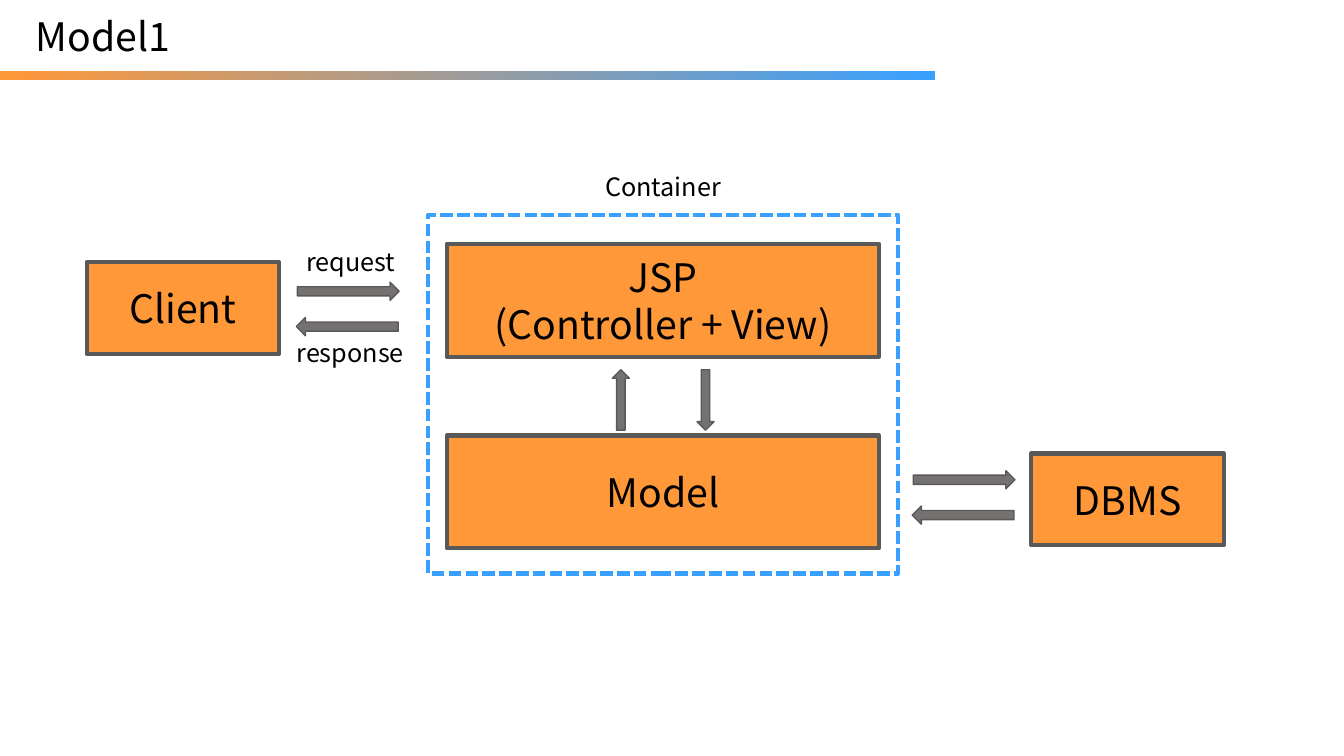
from pptx import Presentation
from pptx.dml.color import RGBColor
from pptx.enum.dml import MSO_LINE
from pptx.enum.shapes import MSO_SHAPE
from pptx.enum.text import MSO_ANCHOR, PP_ALIGN
from pptx.util import Pt

FONT = "Noto Sans CJK KR"
BLACK, ORANGE, BLUE = "000000", "FF9839", "39A0FF"
GRAY, DARK_GRAY = "767171", "595959"
ARROW_LENGTH, ARROW_WIDTH = 72.7, 13


def color(hex_value):
    return RGBColor.from_string(hex_value)


def write(frame, text, size, align=PP_ALIGN.CENTER, anchor=MSO_ANCHOR.MIDDLE):
    frame.text = text
    frame.word_wrap = True
    frame.vertical_anchor = anchor
    for paragraph in frame.paragraphs:
        paragraph.alignment = align
        paragraph.line_spacing = 1.0
        for run in paragraph.runs:
            run.font.name = FONT
            run.font.size = Pt(size)
            run.font.color.rgb = color(BLACK)


def add_block(slide, preset, box, fill=None, line=None, weight=3):
    block = slide.shapes.add_shape(preset, *map(Pt, box))
    block.shadow.inherit = False
    if fill:
        block.fill.solid()
        block.fill.fore_color.rgb = color(fill)
    else:
        block.fill.background()
    if line:
        block.line.color.rgb = color(line)
        block.line.width = Pt(weight)
    else:
        block.line.fill.background()
    return block


def add_node(slide, text, box):
    node = add_block(slide, MSO_SHAPE.RECTANGLE, box, ORANGE, DARK_GRAY)
    write(node.text_frame, text, 28)


def add_label(slide, text, box):
    label = slide.shapes.add_textbox(*map(Pt, box))
    write(label.text_frame, text, 18, anchor=MSO_ANCHOR.TOP)


def add_arrow(slide, preset, box):
    add_block(slide, preset, box, GRAY, DARK_GRAY, 1)


def add_exchange(slide, left, top):
    """Draw a right arrow with a left arrow below it."""
    add_arrow(slide, MSO_SHAPE.RIGHT_ARROW, (left, top, ARROW_LENGTH, ARROW_WIDTH))
    add_arrow(slide, MSO_SHAPE.LEFT_ARROW, (left - 0.7, top + 25.2, ARROW_LENGTH, ARROW_WIDTH))


def add_header(slide, left, top, width, height):
    title = slide.shapes.title
    title.left, title.top, title.width, title.height = map(Pt, (left + 12.2, top + 5, 656, 41))
    write(title.text_frame, "Model1", 28, PP_ALIGN.LEFT, MSO_ANCHOR.TOP)
    title.text_frame.margin_left = Pt(13.5)

    rule = add_block(slide, MSO_SHAPE.RECTANGLE, (left, top + height - 6.5, width, 6.5))
    rule.fill.gradient()
    rule.fill.gradient_angle = 0
    for stop, position, shade in zip(rule.fill.gradient_stops, (0, 1), (ORANGE, BLUE)):
        stop.position = position
        stop.color.rgb = color(shade)


def add_client(slide, left, top, width, height):
    add_node(slide, "Client", (left, top, width, height))
    add_exchange(slide, left + width + 13, top + 14.4)
    add_label(slide, "request", (left + 143.3, top - 15.1, 90.7, 29))
    add_label(slide, "response", (left + width, top + 50.4, 101.5, 29))


def add_container(slide, left, top, width, height):
    frame = add_block(slide, MSO_SHAPE.RECTANGLE, (left, top, width, height), line=BLUE)
    frame.line.dash_style = MSO_LINE.SQUARE_DOT
    add_label(slide, "Container", (left + width / 2 - 52.6, top - 34.6, 105, 29))

    for text, offset in (("JSP\n(Controller + View)", 20.8), ("Model", 157.7)):
        add_node(slide, text, (left + 13, top + offset, width - 26.6, 80.6))

    arrow_top = top + 110.7
    for preset, offset in ((MSO_SHAPE.UP_ARROW, 131.4), (MSO_SHAPE.DOWN_ARROW, 191.9)):
        add_arrow(slide, preset, (left + offset, arrow_top, 12.2, 43.2))


def add_database(slide, left, top, width, height):
    add_node(slide, "DBMS", (left, top, width, height))
    add_exchange(slide, left - 84.3, top + 12.2)


def main():
    deck = Presentation()
    deck.slide_width, deck.slide_height = Pt(960), Pt(540)
    slide = deck.slides.add_slide(deck.slide_layouts[5])
    add_header(slide, 0, 0, 668.2, 56.9)
    add_client(slide, 61.9, 187.2, 137.5, 65.5)
    add_container(slide, 306, 153.4, 335.5, 256.3)
    add_database(slide, 736.6, 324, 137.5, 65.5)
    deck.save("out.pptx")


if __name__ == "__main__":
    main()
